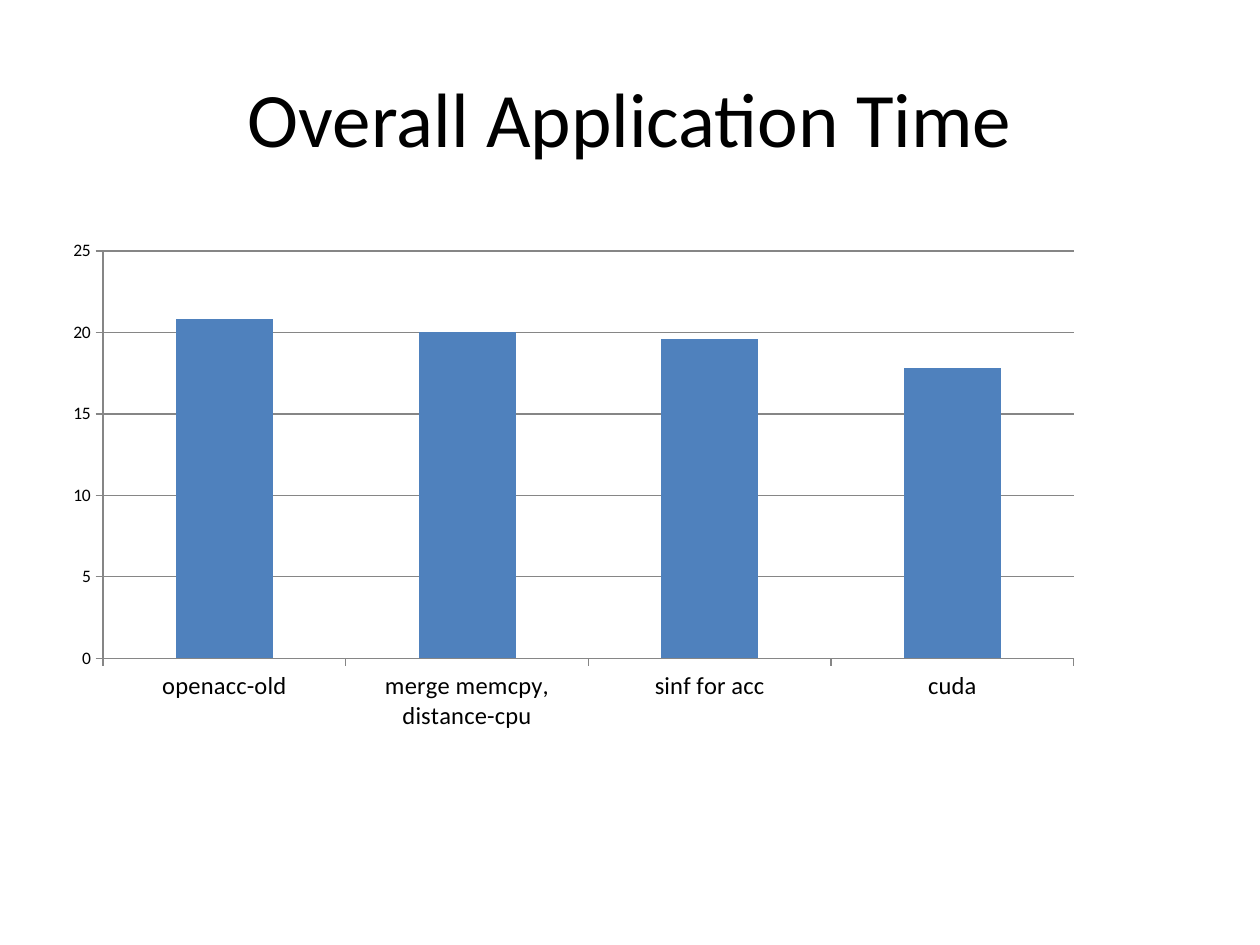
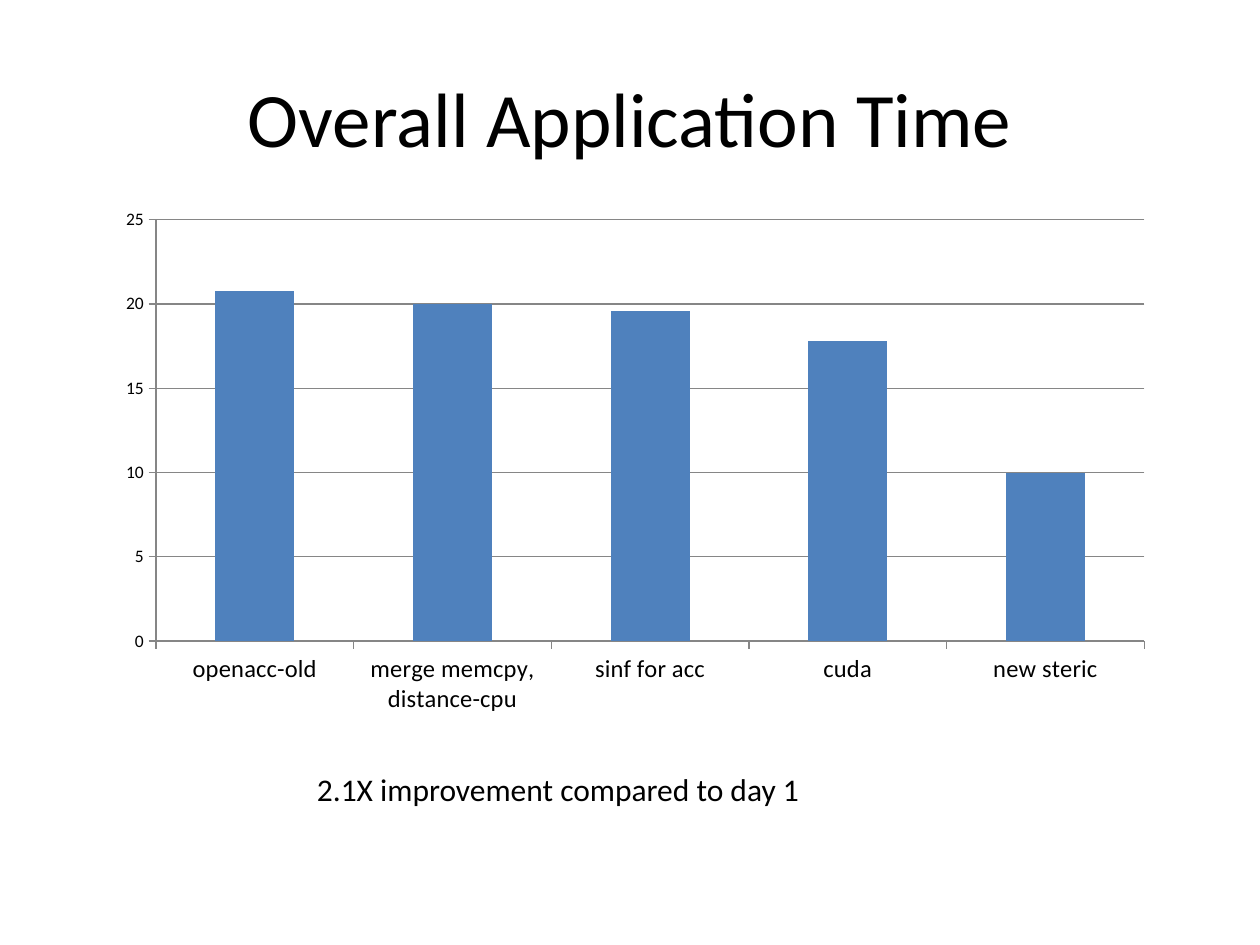
from pptx import Presentation
from pptx.chart import data
from pptx.dml.color import RGBColor
from pptx.enum import chart as charts, text
from pptx.util import Pt

BLACK = RGBColor(0, 0, 0)
BAR_BLUE = RGBColor(0x4F, 0x81, 0xBD)
AXIS_GRAY = RGBColor(0x86, 0x86, 0x86)
FONT = "Calibri"
TITLE = "Overall Application Time"
TITLE_ONLY = 5

TIMES = {
    "openacc-old": 20.8,
    "merge memcpy, distance-cpu": 20,
    "sinf for acc": 19.6,
    "cuda": 17.8,
}
FINAL_TIMES = {**TIMES, "new steric": 10}


class Deck:
    def __init__(self):
        self.prs = Presentation()
        self.prs.slide_width, self.prs.slide_height = Pt(720), Pt(540)
        self.slide = None

    def style_font(self, font, size):
        font.name, font.size = FONT, Pt(size)
        font.color.rgb = BLACK

    def fill_text(self, frame, words, size, align):
        frame.vertical_anchor = text.MSO_ANCHOR.MIDDLE
        line = frame.paragraphs[0]
        line.alignment = align
        run = line.add_run()
        run.text = words
        self.style_font(run.font, size)

    def add_slide(self, words):
        self.slide = self.prs.slides.add_slide(self.prs.slide_layouts[TITLE_ONLY])
        title = self.slide.shapes.title
        title.left, title.top = Pt(36), Pt(21.6)
        title.width, title.height = Pt(648), Pt(90)
        self.fill_text(title.text_frame, words, 44, text.PP_ALIGN.CENTER)

    def add_note(self, words, left, top, width, height):
        note = self.slide.shapes.add_textbox(Pt(left), Pt(top), Pt(width), Pt(height))
        note.text_frame.word_wrap = False
        note.text_frame.auto_size = text.MSO_AUTO_SIZE.SHAPE_TO_FIT_TEXT
        self.fill_text(note.text_frame, words, 18, text.PP_ALIGN.LEFT)

    def add_columns(self, times, left, top, width, height):
        timings = data.CategoryChartData()
        timings.categories = list(times)
        timings.add_series("Series 1", list(times.values()))
        chart = self.slide.shapes.add_chart(
            charts.XL_CHART_TYPE.COLUMN_CLUSTERED,
            Pt(left), Pt(top), Pt(width), Pt(height), timings).chart
        chart.has_legend = chart.has_title = False
        self.style_font(chart.font, 10)

        plot = chart.plots[0]
        plot.gap_width = 150
        plot.vary_by_categories = False
        bars = plot.series[0].format.fill
        bars.solid()
        bars.fore_color.rgb = BAR_BLUE

        steps, seconds = chart.category_axis, chart.value_axis
        for axis, size in ((steps, 14), (seconds, 10)):
            axis.major_tick_mark = charts.XL_TICK_MARK.OUTSIDE
            axis.minor_tick_mark = charts.XL_TICK_MARK.NONE
            self.style_font(axis.tick_labels.font, size)
            self.draw_gray(axis.format.line)
        seconds.minimum_scale, seconds.maximum_scale = 0, 25
        seconds.major_unit = 5
        seconds.has_major_gridlines = True
        self.draw_gray(seconds.major_gridlines.format.line)

    def draw_gray(self, line):
        line.color.rgb = AXIS_GRAY
        line.width = Pt(0.75)


def main():
    deck = Deck()
    deck.add_slide(TITLE)
    deck.add_columns(TIMES, 30, 132, 595.5, 291.6)

    deck.add_slide(TITLE)
    deck.add_note("2.1X improvement compared to day 1", 174, 436.3, 303, 29)
    deck.add_columns(FINAL_TIMES, 60, 114, 606, 300)
    deck.prs.save("out.pptx")


if __name__ == "__main__":
    main()
